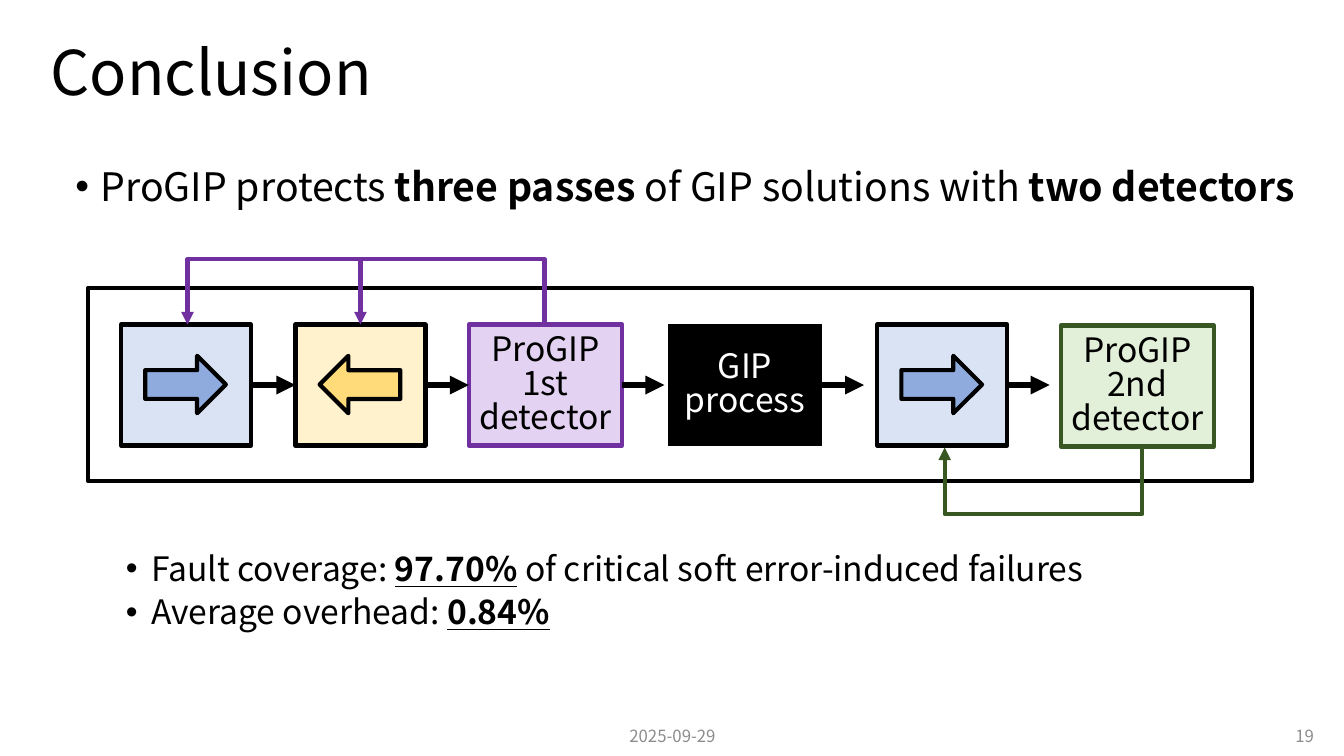
from pptx import Presentation
from pptx.dml.color import RGBColor
from pptx.enum.shapes import MSO_CONNECTOR, MSO_SHAPE
from pptx.enum.text import MSO_ANCHOR as ANCHOR, PP_ALIGN as ALIGN
from pptx.oxml.ns import qn
from pptx.util import Inches, Pt
from lxml.etree import SubElement

FONT = "Noto Sans CJK KR"
BLACK = RGBColor(0x00, 0x00, 0x00)
WHITE = RGBColor(0xFF, 0xFF, 0xFF)
GRAY = RGBColor(0x8C, 0x8C, 0x8C)
PALE_BLUE = RGBColor(0xDA, 0xE3, 0xF3)
BLUE = RGBColor(0x8F, 0xAA, 0xDC)
PALE_YELLOW = RGBColor(0xFF, 0xF2, 0xCC)
YELLOW = RGBColor(0xFF, 0xDC, 0x79)
PALE_PURPLE = RGBColor(0xE4, 0xD2, 0xF2)
PURPLE = RGBColor(0x70, 0x30, 0xA0)
PALE_GREEN = RGBColor(0xE2, 0xF0, 0xD9)
GREEN = RGBColor(0x38, 0x57, 0x23)


def write(p, text, size=24, color=BLACK, align=ALIGN.LEFT, spacing=None,
          before=0, bullet=False, underline=False):
    """Fill a paragraph; text between ** marks is bold, newlines break lines."""
    if bullet:
        pPr = p._p.get_or_add_pPr()
        pPr.set("marL", str(Inches(0.25)))
        pPr.set("indent", str(-Inches(0.25)))
        SubElement(pPr, qn("a:buFont")).set("typeface", "Arial")
        SubElement(pPr, qn("a:buChar")).set("char", "•")
    p.alignment = align
    p.space_before = Pt(before)
    if spacing:
        p.line_spacing = spacing
    for i, part in enumerate(text.split("**")):
        for j, piece in enumerate(part.split("\n")):
            if j:
                p.add_line_break()
            if piece:
                r = p.add_run()
                r.text = piece
                r.font.name, r.font.size = FONT, Pt(size)
                r.font.color.rgb = color
                r.font.bold = i % 2 == 1
                r.font.underline = underline and i % 2 == 1


def add_text(s, box, lines, anchor=ANCHOR.TOP, gap=0, **fmt):
    """Add a wrapped text box with one paragraph per line."""
    tf = s.shapes.add_textbox(*map(Inches, box)).text_frame
    tf.word_wrap = True
    tf.vertical_anchor = anchor
    for i, line in enumerate(lines):
        p = tf.add_paragraph() if i else tf.paragraphs[0]
        write(p, line, before=gap if i else 0, **fmt)


def add_title(s, box, text):
    """Place the slide title."""
    sp = s.shapes.title
    sp.left, sp.top, sp.width, sp.height = map(Inches, box)
    sp.text_frame.vertical_anchor = ANCHOR.MIDDLE
    write(sp.text_frame.paragraphs[0], text, size=44, spacing=0.9)


def add_block(s, box, fill, line=BLACK, width=3, kind=MSO_SHAPE.RECTANGLE,
              text="", color=BLACK):
    """Add an outlined shape with an optional centred label."""
    sp = s.shapes.add_shape(kind, *map(Inches, box))
    sp.shadow.inherit = False
    sp.fill.solid()
    sp.fill.fore_color.rgb = fill
    sp.line.color.rgb = line
    sp.line.width = Pt(width)
    if text:
        tf = sp.text_frame
        tf.word_wrap = True
        tf.margin_left = tf.margin_right = 0
        tf.vertical_anchor = ANCHOR.MIDDLE
        write(tf.paragraphs[0], text, color=color, align=ALIGN.CENTER, spacing=0.85)
    return sp


def add_pass(s, x, y, fill, arrow_fill, rotation=0):
    """Add a pass box holding a block arrow."""
    sp = add_block(s, (x, y, 1.29, 1.2), fill)
    arrow = add_block(s, (x + 0.24, y + 0.31, 0.8, 0.57), arrow_fill,
                      kind=MSO_SHAPE.RIGHT_ARROW)
    arrow.rotation = rotation
    return sp


def style_arrow(sp, color, width):
    """Give a line its colour, width and arrowhead."""
    sp.line.color.rgb = color
    sp.line.width = Pt(width)
    SubElement(sp.line._get_or_add_ln(), qn("a:tailEnd")).set("type", "triangle")


def add_arrow(s, start, end, color=BLACK, width=4.5):
    """Add a straight arrow between two points in EMU."""
    c = s.shapes.add_connector(MSO_CONNECTOR.STRAIGHT, *start, *end)
    style_arrow(c, color, width)
    SubElement(c._element.spPr, qn("a:effectLst"))
    return c


def add_feedback(s, x1, x2, y, turn_y, color):
    """Add a three-sided arrow from x1 back to x2 by way of turn_y."""
    fb = s.shapes.build_freeform(Inches(x1), Inches(y))
    fb.add_line_segments([(Inches(x1), Inches(turn_y)), (Inches(x2), Inches(turn_y)),
                          (Inches(x2), Inches(y))], close=False)
    sp = fb.convert_to_shape()
    sp.shadow.inherit = False
    sp.fill.background()
    style_arrow(sp, color, 3)


def add_pipeline(s, box):
    """Draw the framed chain of passes and detectors with its feedback arrows."""
    x, y, w, h = box
    top = y + 0.36
    add_block(s, box, WHITE)
    forward = add_pass(s, x + 0.33, top, PALE_BLUE, BLUE)
    backward = add_pass(s, x + 2.06, top, PALE_YELLOW, YELLOW, rotation=180)
    first = add_block(s, (x + 3.78, top, 1.52, 1.2), PALE_PURPLE, PURPLE,
                      text="ProGIP\n1st\ndetector")
    process = add_block(s, (x + 5.76, top, 1.52, 1.2), BLACK, width=1,
                        text="GIP\nprocess", color=WHITE)
    last = add_pass(s, x + 7.83, top, PALE_BLUE, BLUE)
    add_block(s, (x + 9.65, top + 0.01, 1.52, 1.2), PALE_GREEN, GREEN,
              text="ProGIP\n2nd\ndetector")

    for source, target in ((forward, backward), (backward, first),
                           (first, None), (process, None), (last, None)):
        right = source.left + source.width
        mid = source.top + source.height // 2
        c = add_arrow(s, (right, mid), (right + Inches(0.42), mid))
        c.begin_connect(source, 3)
        if target:
            c.end_connect(target, 1)

    add_feedback(s, x + 4.53, x + 0.99, top, y - 0.29, PURPLE)
    center = backward.left + backward.width // 2
    c = add_arrow(s, (center, Inches(y - 0.29)), (center, backward.top), PURPLE, 3)
    c.end_connect(backward, 0)
    add_feedback(s, x + 10.46, x + 8.5, top + 1.22, y + h + 0.33, GREEN)


def main():
    """Build the conclusion slide."""
    prs = Presentation()
    prs.slide_width, prs.slide_height = Inches(13.33), Inches(7.5)
    s = prs.slides.add_slide(prs.slide_layouts[5])
    add_title(s, (0.4, 0.02, 12.17, 1.45), "Conclusion")
    add_text(s, (0.65, 1.61, 12.56, 0.6),
             ["ProGIP protects **three passes** of GIP solutions with **two detectors**"],
             size=28, spacing=0.9, bullet=True)
    add_pipeline(s, (0.87, 2.86, 11.55, 1.91))
    add_text(s, (1.15, 5.43, 12.06, 0.94),
             ["Fault coverage: **97.70%** of critical soft error-induced failures",
              "Average overhead: **0.84%**"],
             gap=5, spacing=0.9, bullet=True, underline=True)
    for x, text, align in ((5.17, "2025-09-29", ALIGN.CENTER), (10.13, "19", ALIGN.RIGHT)):
        add_text(s, (x, 7.1, 3, 0.4), [text], anchor=ANCHOR.MIDDLE,
                 size=12, color=GRAY, align=align)
    prs.save("out.pptx")


if __name__ == "__main__":
    main()
